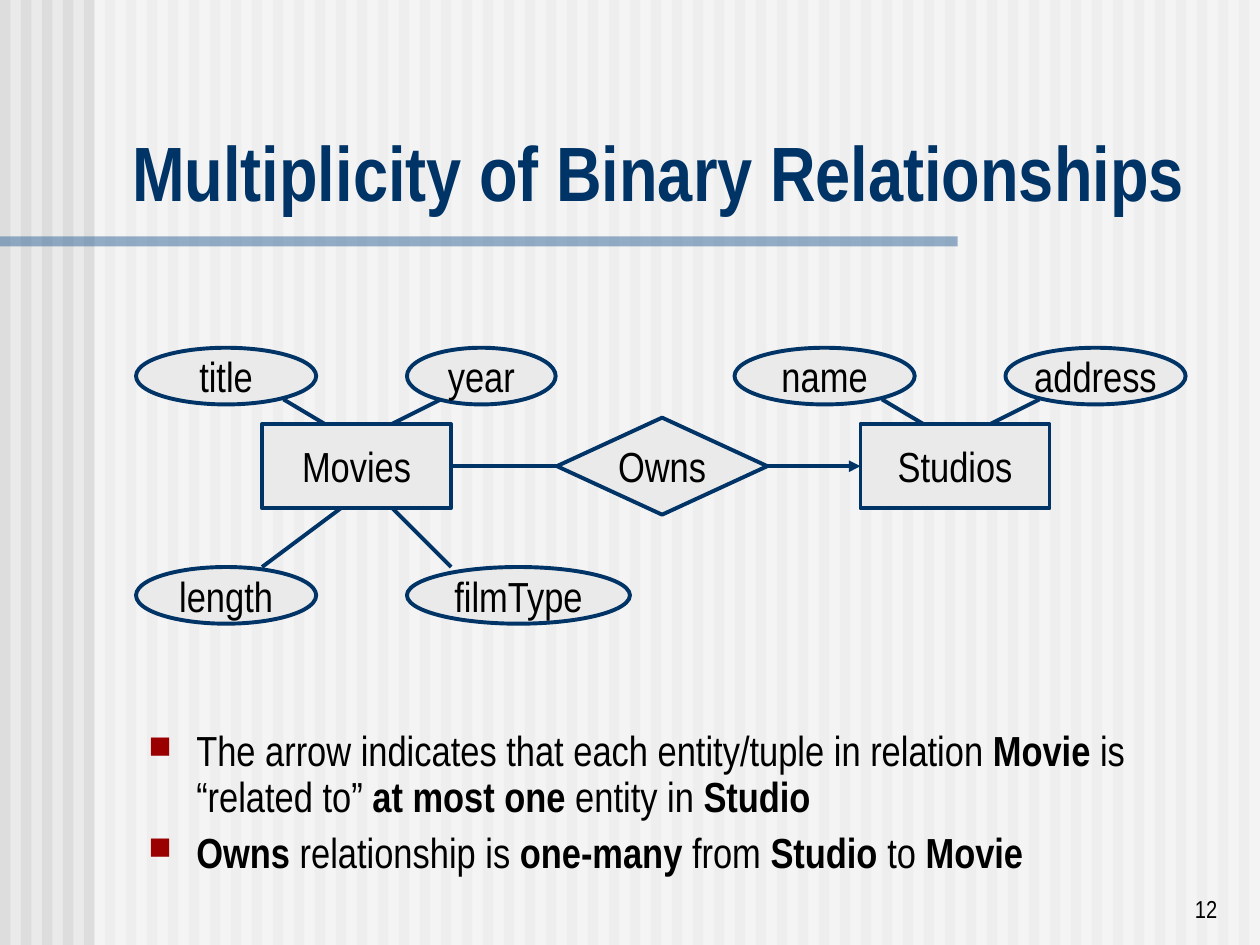
"""Build a slide on the multiplicity of binary relationships in an E/R diagram."""
import dataclasses

import lxml.etree
import pptx
import pptx.dml.color
import pptx.enum.shapes
import pptx.enum.text
import pptx.oxml.ns
import pptx.util

SHAPE = pptx.enum.shapes.MSO_SHAPE
ALIGN = pptx.enum.text.PP_ALIGN
ANCHOR = pptx.enum.text.MSO_ANCHOR
RGB = pptx.dml.color.RGBColor.from_string
Inches, Pt, qn = pptx.util.Inches, pptx.util.Pt, pptx.oxml.ns.qn


@dataclasses.dataclass(frozen=True)
class Theme:
    font: str = "Arial Narrow"
    title_size: int = 44
    body_size: int = 24
    number_size: int = 14
    line_width: float = 2.25
    paper: str = "EAEAEA"
    stripe: str = "DDDDDD"
    veil: str = "FFFFFF"
    rule: str = "336699"
    navy: str = "003366"
    text: str = "000000"
    bullet: str = "9A0000"


THEME = Theme()
WIDTH, HEIGHT = 10, 7.5
STRIPES = 60

TITLE = "Multiplicity of Binary Relationships"
NUMBER = "12"
BULLETS = [
    [("The arrow indicates that each entity/tuple in relation ", False),
     ("Movie ", True), ("is “related to” ", False), ("at most one", True),
     (" entity in ", False), ("Studio", True)],
    [("Owns", True), (" relationship is ", False), ("one-many", True),
     (" from ", False), ("Studio", True), (" to ", False), ("Movie", True)],
]

TOP, BOTTOM, OVAL_H = 2.76, 4.5, 0.45
AXIS, BOX_W, BOX_H = 3.7, 1.5, 0.67
ATTRIBUTES = [
    ("length", 1.08, BOTTOM, 1.43), ("filmType", 3.23, BOTTOM, 1.77),
    ("title", 1.08, TOP, 1.43), ("year", 3.23, TOP, 1.18),
    ("name", 5.83, TOP, 1.43), ("address", 7.98, TOP, 1.43),
]
ENTITIES = [("Movies", 2.08), ("Studios", 6.83)]
UPPER_LINKS = [(0.17, 0.59), (1.42, 0.92)]
LOWER_LINKS = [(0, 0.67), (1.5, 1)]
RELATION = ("Owns", 4.42, 1.67, 0.77)


def style(r, size, color=THEME.text, bold=False):
    r.font.name, r.font.size, r.font.bold = THEME.font, Pt(size), bold
    r.font.color.rgb = RGB(color)


def add_run(p, text, size, color=THEME.text, bold=False):
    r = p.add_run()
    r.text = text
    style(r, size, color, bold)


def add_block(slide, kind, x, y, w, h, fill, alpha=None):
    sp = slide.shapes.add_shape(kind, Inches(x), Inches(y), Inches(w), Inches(h))
    sp.shadow.inherit = False
    sp.fill.solid()
    sp.fill.fore_color.rgb = RGB(fill)
    sp.line.fill.background()
    if alpha:
        clr = sp._element.spPr.find(qn("a:solidFill"))[0]
        lxml.etree.SubElement(clr, qn("a:alpha"), val=str(alpha * 1000))
    return sp


def add_node(slide, kind, text, x, y, w, h):
    sp = add_block(slide, kind, x, y, w, h, THEME.paper)
    sp.line.color.rgb = RGB(THEME.navy)
    sp.line.width = Pt(THEME.line_width)
    tf = sp.text_frame
    tf.word_wrap, tf.vertical_anchor = False, ANCHOR.MIDDLE
    p = tf.paragraphs[0]
    p.alignment = ALIGN.CENTER
    add_run(p, text, THEME.body_size)


def add_link(slide, x1, y1, x2, y2, arrow=False):
    line = slide.shapes.add_connector(
        pptx.enum.shapes.MSO_CONNECTOR.STRAIGHT,
        Inches(x1), Inches(y1), Inches(x2), Inches(y2))
    line.line.color.rgb = RGB(THEME.navy)
    line.line.width = Pt(THEME.line_width)
    if arrow:
        lxml.etree.SubElement(line.line._get_or_add_ln(), qn("a:tailEnd"), type="triangle")
    lxml.etree.SubElement(line._element.spPr, qn("a:effectLst"))


def add_text_box(slide, x, y, w, h):
    tf = slide.shapes.add_textbox(Inches(x), Inches(y), Inches(w), Inches(h)).text_frame
    tf.word_wrap = True
    return tf


def add_backdrop(slide):
    slide.background.fill.solid()
    slide.background.fill.fore_color.rgb = RGB(THEME.paper)
    pitch = WIDTH / STRIPES
    for i in range(STRIPES):
        add_block(slide, SHAPE.RECTANGLE, i * pitch, 0, pitch / 2, HEIGHT, THEME.stripe)
    add_block(slide, SHAPE.RECTANGLE, 0.75, 0, WIDTH - 0.75, HEIGHT, THEME.veil, 50)
    add_block(slide, SHAPE.RECTANGLE, 0, HEIGHT / 4, WIDTH * 0.76, 0.08, THEME.rule, 50)


def add_title(slide):
    title = slide.shapes.title
    slide.shapes._spTree.append(title._element)
    title.left, title.top = Inches(0.95), Inches(0.94)
    title.width, title.height = Inches(8.93), Inches(0.83)
    tf = title.text_frame
    tf.word_wrap, tf.vertical_anchor = True, ANCHOR.BOTTOM
    tf.auto_size = pptx.enum.text.MSO_AUTO_SIZE.NONE
    p = tf.paragraphs[0]
    p.alignment = ALIGN.LEFT
    add_run(p, TITLE, THEME.title_size, THEME.navy, True)


def add_diagram(slide):
    for text, x, y, w in ATTRIBUTES:
        add_node(slide, SHAPE.OVAL, text, x, y, w, OVAL_H)
    for _, x in ENTITIES:
        for start, end in UPPER_LINKS:
            add_link(slide, x + start, 3.17, x + end, 3.42)
    movies, studios = (x for _, x in ENTITIES)
    for start, end in LOWER_LINKS:
        add_link(slide, movies + start, BOTTOM, movies + end, 4)
    for text, x in ENTITIES:
        add_node(slide, SHAPE.RECTANGLE, text, x, AXIS - BOX_H / 2, BOX_W, BOX_H)
    text, x, w, h = RELATION
    add_link(slide, x, AXIS, movies + BOX_W, AXIS)
    add_link(slide, x + w, AXIS, studios, AXIS, arrow=True)
    add_node(slide, SHAPE.DIAMOND, text, x, AXIS - h / 2, w, h)


def add_bullets(slide):
    tf = add_text_box(slide, 1.08, 5.75, 8, 1.5)
    for i, runs in enumerate(BULLETS):
        p = tf.add_paragraph() if i else tf.paragraphs[0]
        p.line_spacing, p.space_before = 0.9, Pt(6 if i else 0)
        pPr = p._p.get_or_add_pPr()
        indent = Inches(0.38)
        pPr.set("marL", str(indent))
        pPr.set("indent", str(-indent))
        clr = lxml.etree.SubElement(pPr, qn("a:buClr"))
        lxml.etree.SubElement(clr, qn("a:srgbClr"), val=THEME.bullet)
        lxml.etree.SubElement(pPr, qn("a:buSzPct"), val="75000")
        lxml.etree.SubElement(pPr, qn("a:buChar"), char="■")
        for text, bold in runs:
            add_run(p, text, THEME.body_size, bold=bold)


def add_number(slide):
    tf = add_text_box(slide, 7.68, 6.88, 2.08, 0.5)
    tf.vertical_anchor = ANCHOR.BOTTOM
    p = tf.paragraphs[0]
    p.alignment = ALIGN.RIGHT
    add_run(p, NUMBER, THEME.number_size)


def main():
    prs = pptx.Presentation()
    prs.slide_width, prs.slide_height = Inches(WIDTH), Inches(HEIGHT)
    slide = prs.slides.add_slide(prs.slide_layouts.get_by_name("Title Only"))
    for add_part in (add_backdrop, add_title, add_diagram, add_bullets, add_number):
        add_part(slide)
    prs.save("out.pptx")


if __name__ == "__main__":
    main()
